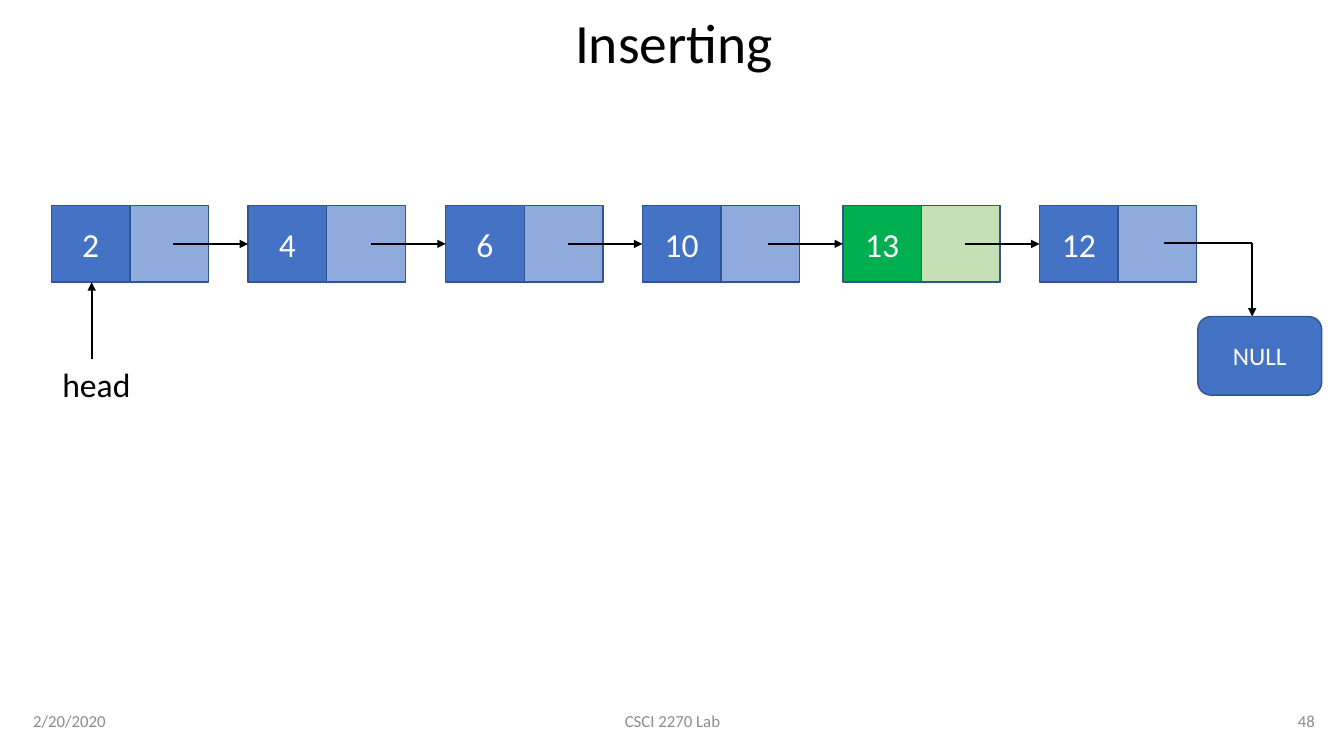
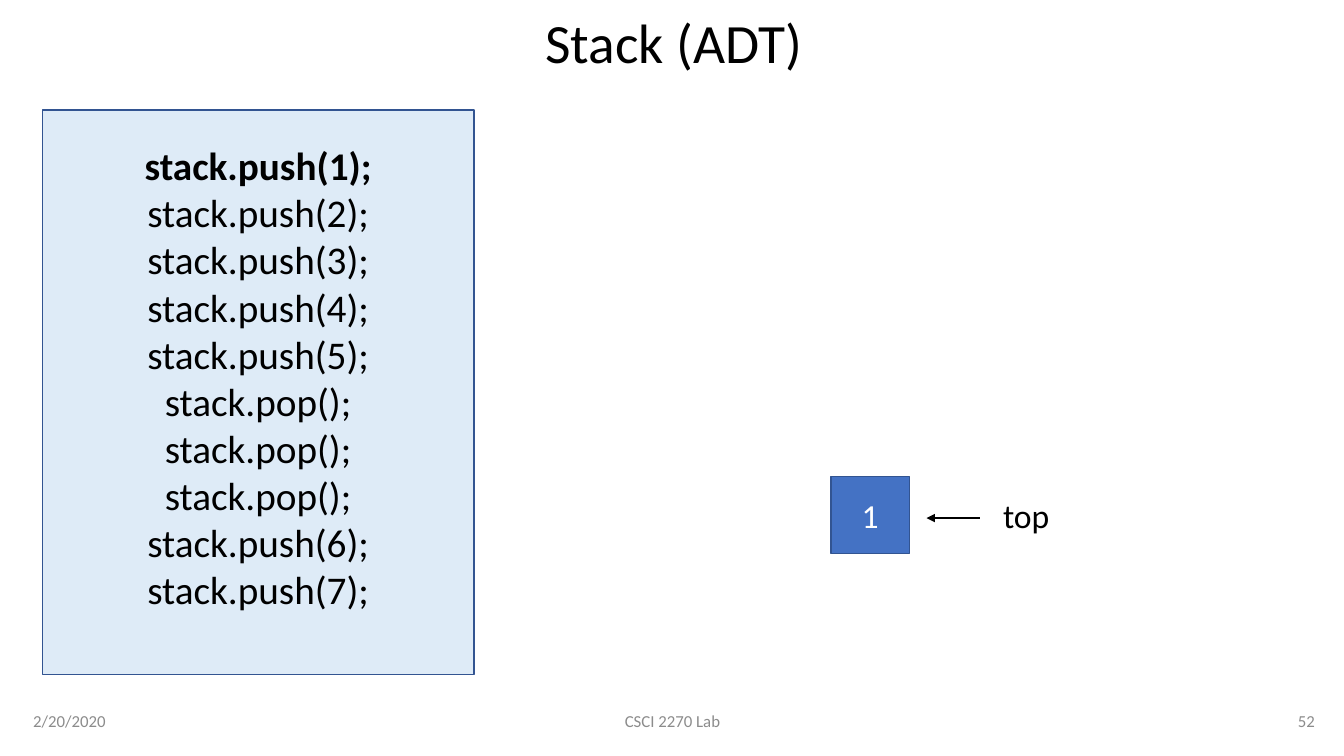
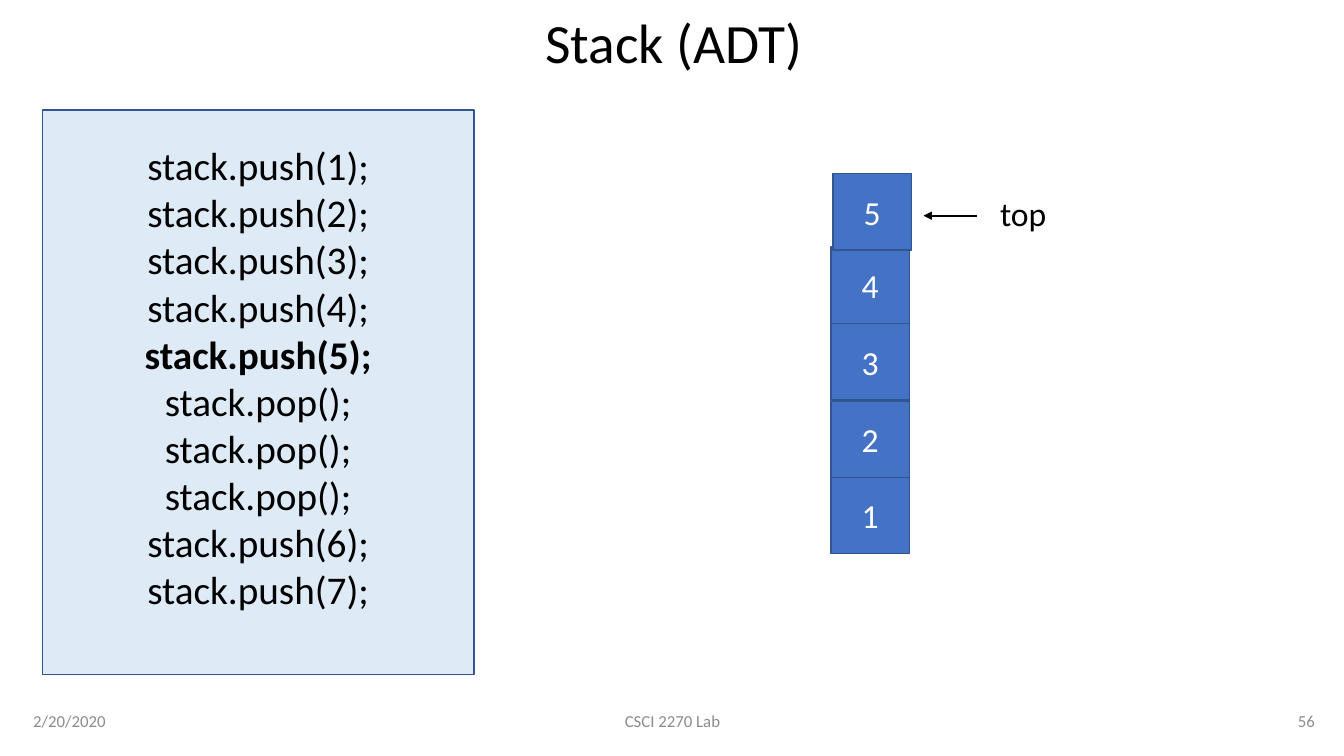
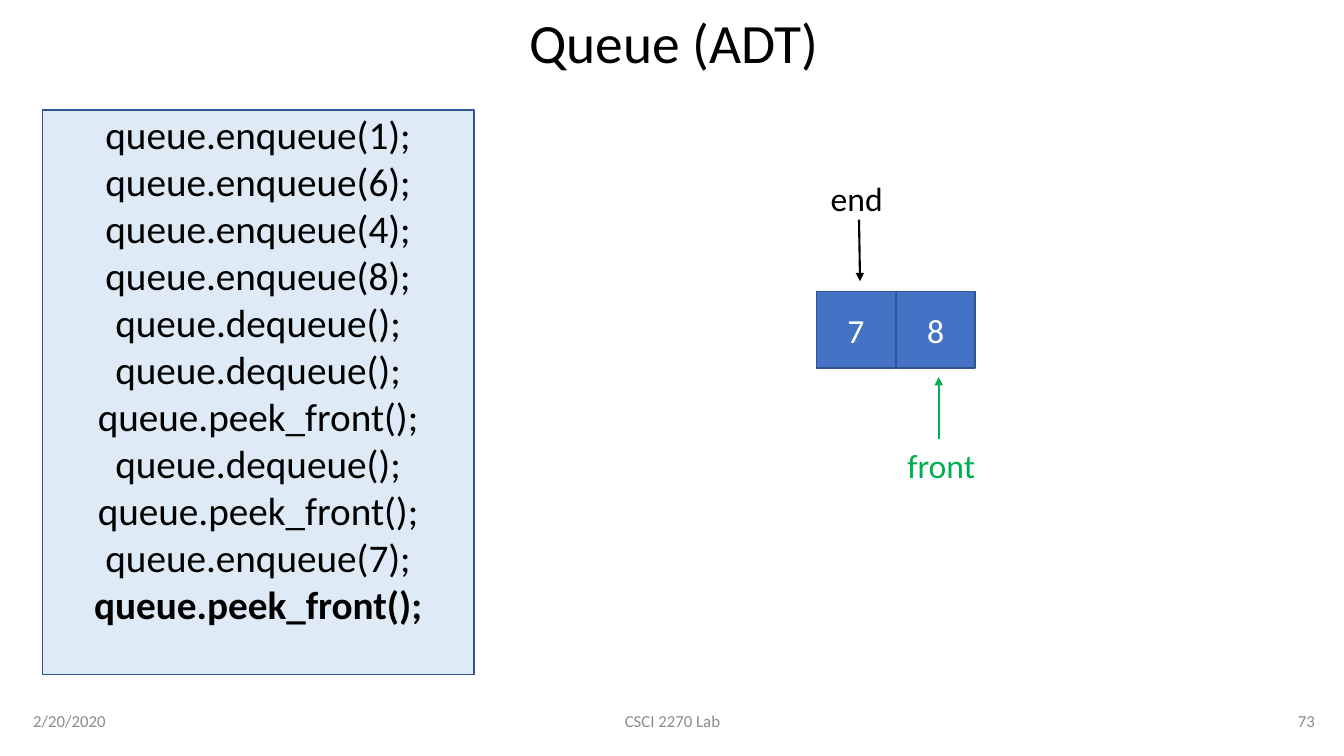
from lxml import etree
from pptx import Presentation
from pptx.dml.color import RGBColor
from pptx.enum.shapes import MSO_CONNECTOR, MSO_SHAPE
from pptx.enum.text import MSO_ANCHOR, MSO_AUTO_SIZE, PP_ALIGN
from pptx.oxml.ns import qn
from pptx.util import Inches, Pt

LEFT, CENTER, RIGHT = PP_ALIGN.LEFT, PP_ALIGN.CENTER, PP_ALIGN.RIGHT
TOP, MIDDLE = MSO_ANCHOR.TOP, MSO_ANCHOR.MIDDLE
RECT, ROUNDED = MSO_SHAPE.RECTANGLE, MSO_SHAPE.ROUNDED_RECTANGLE
STRAIGHT = MSO_CONNECTOR.STRAIGHT
NO_AUTOFIT = MSO_AUTO_SIZE.NONE
TITLE_ONLY = 5

FONT = "Calibri"
COLORS = {
    "black": "000000", "white": "FFFFFF", "gray": "8C8C8C",
    "blue": "4472C4", "pale_blue": "8FAADC", "outline": "325491",
    "panel": "DEEBF7", "green": "00B050", "pale_green": "C5E0B4",
}
CELL_W, CELL_H = 0.78, 0.76

# Content: linked list, as (value, left, value color, pointer color)
LIST_NODES = [
    ("2", 0.51, "blue", "pale_blue"),
    ("4", 2.46, "blue", "pale_blue"),
    ("6", 4.42, "blue", "pale_blue"),
    ("10", 6.37, "blue", "pale_blue"),
    ("13", 8.36, "green", "pale_green"),
    ("12", 10.31, "blue", "pale_blue"),
]
NODE_TOP = 2.04
LINK_LENGTH = 0.74

# Content: code panels, and cells as (value, left, top)
STACK_CODE = (
    [f"stack.push({n});" for n in range(1, 6)]
    + ["stack.pop();"] * 3
    + [f"stack.push({n});" for n in (6, 7)]
)
STACK_CELLS = [
    ("1", 8.24, 4.73), ("2", 8.24, 3.98), ("3", 8.24, 3.21),
    ("4", 8.24, 2.45), ("5", 8.26, 1.72),
]
QUEUE_CODE = [
    "queue.enqueue(1);", "queue.enqueue(6);", "queue.enqueue(4);",
    "queue.enqueue(8);", "queue.dequeue(); queue.dequeue();",
    "queue.peek_front();", "queue.dequeue();", "queue.peek_front();",
    "queue.enqueue(7);", "queue.peek_front();",
]

# Labels are (text, box, color); arrows are (start, end, color)
ADT_SLIDES = [
    {"title": "Stack (ADT)", "number": 52, "code": STACK_CODE, "current": 0,
     "space_below": 0.3, "cells": STACK_CELLS[:1],
     "labels": [("top", (9.85, 4.86, 0.78, 0.52), "black")],
     "arrows": [((9.72, 5.14), (9.19, 5.14), "black")]},
    {"title": "Stack (ADT)", "number": 56, "code": STACK_CODE, "current": 4,
     "space_below": 0.3, "cells": STACK_CELLS,
     "labels": [("top", (9.82, 1.86, 0.78, 0.52), "black")],
     "arrows": [((9.69, 2.14), (9.16, 2.14), "black")]},
    {"title": "Queue (ADT)", "number": 73, "code": QUEUE_CODE, "current": 9,
     "space_below": 0.46, "cells": [("7", 8.1, 2.89), ("8", 8.89, 2.89)],
     "labels": [("front", (8.9, 4.36, 0.99, 0.5), "green"),
                ("end", (8.14, 1.72, 0.99, 0.5), "black")],
     "arrows": [((9.31, 4.36), (9.31, 3.74), "green"),
                ((8.52, 2.18), (8.53, 2.79), "black")]},
]


# Shared drawing helpers
def rgb(color):
    return RGBColor.from_string(COLORS[color])


def write(frame, lines, size, color, align=LEFT, anchor=MIDDLE, bold_line=None):
    frame.word_wrap = True
    frame.vertical_anchor = anchor
    for i, line in enumerate(lines):
        paragraph = frame.paragraphs[0] if i == 0 else frame.add_paragraph()
        paragraph.alignment = align
        run = paragraph.add_run()
        run.text = line
        style = {"name": FONT, "size": Pt(size), "bold": i == bold_line}
        for attribute, value in style.items():
            setattr(run.font, attribute, value)
        run.font.color.rgb = rgb(color)


def add_label(slide, text, box, size, color, align=LEFT, anchor=TOP):
    label = slide.shapes.add_textbox(*map(Inches, box))
    write(label.text_frame, [text], size, color, align, anchor)


def add_box(slide, box, fill, text="", size=24, kind=RECT):
    shape = slide.shapes.add_shape(kind, *map(Inches, box))
    shape.shadow.inherit = False
    shape.fill.solid()
    shape.fill.fore_color.rgb = rgb(fill)
    shape.line.color.rgb = rgb("outline")
    shape.line.width = Pt(1)
    if text:
        write(shape.text_frame, [text], size, "white", CENTER)
    return shape


def add_arrow(slide, start, end, color="black", head=True):
    arrow = slide.shapes.add_connector(STRAIGHT, *map(Inches, start + end))
    arrow.line.color.rgb = rgb(color)
    arrow.line.width = Pt(1.5)
    if head:
        line = arrow.line._get_or_add_ln()
        etree.SubElement(line, qn("a:tailEnd"), type="triangle")
    etree.SubElement(arrow._element.spPr, qn("a:effectLst"))


def add_slide(prs, title, number):
    slide = prs.slides.add_slide(prs.slide_layouts[TITLE_ONLY])
    heading = slide.shapes.title
    box = {"left": 0.23, "top": 0.15, "width": 12.91, "height": 0.6}
    for attribute, value in box.items():
        setattr(heading, attribute, Inches(value))
    write(heading.text_frame, [title], 39.6, "black", CENTER)
    heading.text_frame.auto_size = NO_AUTOFIT
    heading.text_frame.paragraphs[0].line_spacing = 0.9
    footers = [
        ("2/20/2020", 0.23, 3, LEFT),
        ("CSCI 2270 Lab", 4.42, 4.5, CENTER),
        (str(number), 10.14, 3, RIGHT),
    ]
    for text, left, width, align in footers:
        add_label(slide, text, (left, 6.95, width, 0.4), 12, "gray", align, MIDDLE)
    return slide


# Slides
def build_list_slide(prs):
    slide = add_slide(prs, "Inserting", 48)
    for value, left, value_color, pointer_color in LIST_NODES:
        add_box(slide, (left, NODE_TOP, CELL_W, CELL_H), value_color, value)
        add_box(slide, (left + CELL_W, NODE_TOP, CELL_W, CELL_H), pointer_color)
    link_y = NODE_TOP + CELL_H / 2
    for _, left, _, _ in LIST_NODES[1:]:
        add_arrow(slide, (left - LINK_LENGTH, link_y), (left, link_y))

    # Last pointer to NULL, and the head pointer
    add_arrow(slide, (11.54, 2.41), (12.42, 2.41), head=False)
    add_arrow(slide, (12.42, 2.41), (12.42, 3.14))
    add_box(slide, (11.88, 3.14, 1.23, 0.78), "blue", "NULL", 18, ROUNDED)
    add_arrow(slide, (0.91, 3.56), (0.91, NODE_TOP + CELL_H))
    add_label(slide, "head", (0.52, 3.56, 0.89, 0.5), 24, "black")


def build_adt_slide(prs, content):
    slide = add_slide(prs, content["title"], content["number"])
    panel = add_box(slide, (0.42, 1.09, 4.28, 5.6), "panel").text_frame
    panel.margin_top = 0
    panel.margin_bottom = Inches(content["space_below"])
    write(panel, content["code"], 28, "black", CENTER, bold_line=content["current"])
    for value, left, top in content["cells"]:
        add_box(slide, (left, top, CELL_W, CELL_H), "blue", value)
    for text, box, color in content["labels"]:
        add_label(slide, text, box, 24, color)
    for start, end, color in content["arrows"]:
        add_arrow(slide, start, end, color)


def main():
    prs = Presentation()
    prs.slide_width, prs.slide_height = Inches(13.33), Inches(7.5)
    build_list_slide(prs)
    for content in ADT_SLIDES:
        build_adt_slide(prs, content)
    prs.save("out.pptx")


if __name__ == "__main__":
    main()
